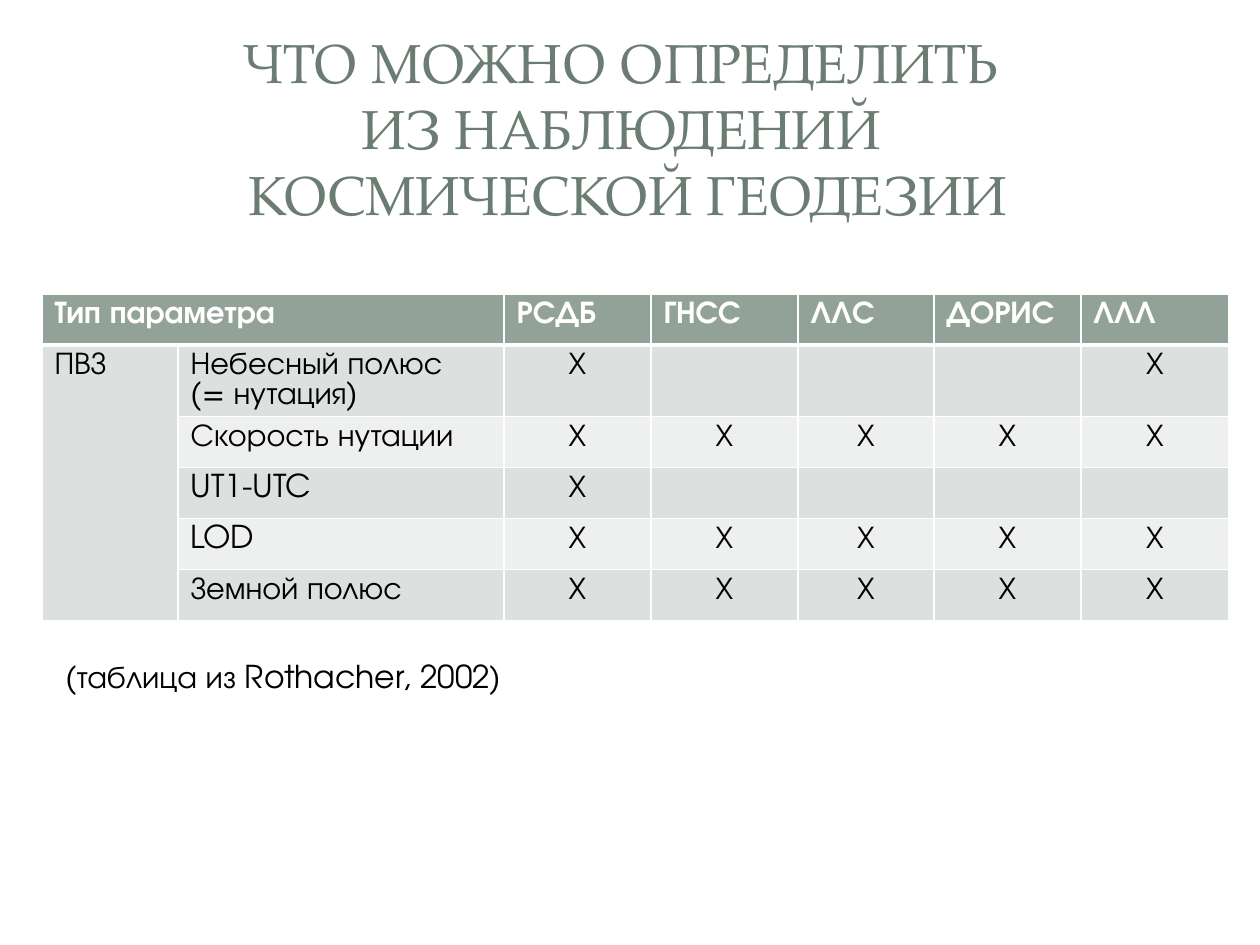
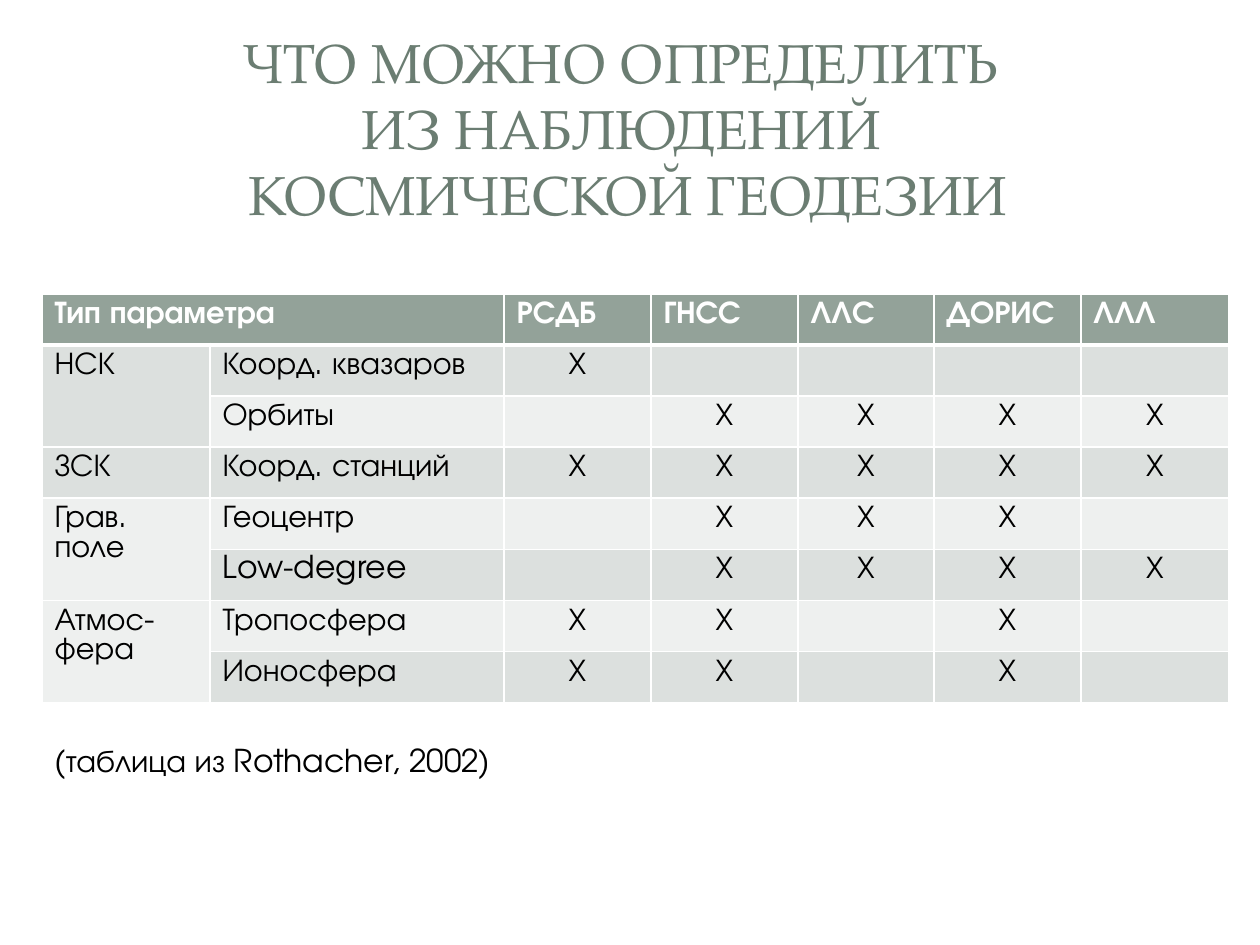
from copy import deepcopy

from lxml.etree import SubElement
from pptx import Presentation
from pptx.dml.color import RGBColor
from pptx.enum.shapes import MSO_SHAPE
from pptx.enum.text import MSO_ANCHOR, MSO_AUTO_SIZE, PP_ALIGN
from pptx.oxml.ns import qn
from pptx.util import Emu, Pt

PIXELS_PER_INCH = 126
TITLE_FONT = "TeX Gyre Pagella"
BODY_FONT = "TeX Gyre Adventor"
WHITE = "FFFFFF"
BLACK = "000000"
TITLE_GREEN = "6B7D72"
HEADER_GREEN = "93A299"
BANDS = ("DCE0DE", "EEF0EF")

TITLE = "ЧТО МОЖНО ОПРЕДЕЛИТЬ \vИЗ НАБЛЮДЕНИЙ \vКОСМИЧЕСКОЙ ГЕОДЕЗИИ"
CAPTION = "(таблица из Rothacher, 2002)"
TECHNIQUES = ("РСДБ", "ГНСС", "ЛЛС", "ДОРИС", "ЛЛЛ")
TECHNIQUE_WIDTHS = (147, 147, 136, 147, 148)
ROW_HEIGHT = 51

EARTH_ROTATION = [
    ("ПВЗ", [
        ("Небесный полюс\n(= нутация)", "Х---Х"),
        ("Скорость нутации", "ХХХХХ"),
        ("UT1-UTC", "Х----"),
        ("LOD", "ХХХХХ"),
        ("Земной полюс", "ХХХХХ"),
    ]),
]
FRAMES_AND_FIELDS = [
    ("НСК", [("Коорд. квазаров", "Х----"), ("Орбиты", "-ХХХХ")]),
    ("ЗСК", [("Коорд. станций", "ХХХХХ")]),
    ("Грав. поле", [("Геоцентр", "-ХХХ-"), ("Low-degree", "-ХХХХ")]),
    ("Атмос-фера", [("Тропосфера", "ХХ-Х-"), ("Ионосфера", "ХХ-Х-")]),
]


def px(length):
    return Emu(round(length * 914400 / PIXELS_PER_INCH))


def rgb(color):
    return RGBColor.from_string(color)


def write_text(text_frame, text, font=BODY_FONT, size=18, color=BLACK, bold=False,
               align=PP_ALIGN.LEFT):
    text_frame.text = text
    for paragraph in text_frame.paragraphs:
        paragraph.alignment = align
        for run in paragraph.runs:
            run.font.name = font
            run.font.size = Pt(size)
            run.font.bold = bold
            run.font.color.rgb = rgb(color)
        for line_break in paragraph._p.findall(qn("a:br")):
            line_break.append(deepcopy(paragraph.runs[0]._r.rPr))


def set_borders(cell, top=1, bottom=1):
    properties = cell._tc.get_or_add_tcPr()
    widths = {"a:lnL": 1, "a:lnR": 1, "a:lnT": top, "a:lnB": bottom}
    for position, (tag, width) in enumerate(widths.items()):
        line = SubElement(properties, qn(tag), w=str(Pt(width)))
        fill = SubElement(line, qn("a:solidFill"))
        SubElement(fill, qn("a:srgbClr"), val=WHITE)
        properties.insert(position, line)


class Deck:
    """Holds the shared style and draws each element on the current slide."""

    def __init__(self):
        self.presentation = Presentation()
        self.presentation.slide_width = px(1260)
        self.presentation.slide_height = px(945)
        self.slide = None

    def add_slide(self, title):
        layout = self.presentation.slide_layouts.get_by_name("Title Only")
        self.slide = self.presentation.slides.add_slide(layout)
        self.add_panel(13, 14, 1234, 918, kind=MSO_SHAPE.ROUNDED_RECTANGLE, corner=0.02)
        self.add_panel(38, 38, 1184, 183, opacity=83)
        self.add_panel(52, 52, 1155, 154)
        self.add_title(title)

    def add_panel(self, left, top, width, height, kind=MSO_SHAPE.RECTANGLE, corner=None,
                  opacity=100):
        shape = self.slide.shapes.add_shape(kind, *map(px, (left, top, width, height)))
        shape.shadow.inherit = False
        shape.line.fill.background()
        shape.fill.solid()
        shape.fill.fore_color.rgb = rgb(WHITE)
        if corner is not None:
            shape.adjustments[0] = corner
        if opacity < 100:
            color = shape._element.spPr.find(qn("a:solidFill"))[0]
            SubElement(color, qn("a:alpha"), val=str(opacity * 1000))

    def add_title(self, text):
        shape = self.slide.shapes.title
        shape._element.getparent().append(shape._element)
        shape.left, shape.top, shape.width, shape.height = map(px, (59, 56, 1138, 143))
        shape.text_frame.auto_size = MSO_AUTO_SIZE.NONE
        shape.text_frame.vertical_anchor = MSO_ANCHOR.MIDDLE
        write_text(shape.text_frame, text, font=TITLE_FONT, size=31.5,
                   color=TITLE_GREEN, align=PP_ALIGN.CENTER)

    def add_cell(self, table, row, column, text, fill, **text_format):
        cell = table.cell(row, column)
        cell.fill.solid()
        cell.fill.fore_color.rgb = rgb(fill)
        set_borders(cell, top=3 if row == 1 else 1, bottom=3 if row == 0 else 1)
        write_text(cell.text_frame, text, **text_format)

    def add_parameter_table(self, groups, label_widths):
        widths = (*label_widths, *TECHNIQUE_WIDTHS)
        row_count = 1 + sum(len(parameters) for _, parameters in groups)
        table = self.slide.shapes.add_table(
            row_count, len(widths), px(42), px(294),
            px(sum(widths)), px(row_count * ROW_HEIGHT)).table
        table.first_row = table.horz_banding = False
        for column, width in zip(table.columns, widths):
            column.width = px(width)
        for table_row in table.rows:
            table_row.height = px(ROW_HEIGHT)

        for column, text in enumerate(("Тип параметра", "", *TECHNIQUES)):
            self.add_cell(table, 0, column, text, HEADER_GREEN, color=WHITE, bold=True)
        table.cell(0, 0).merge(table.cell(0, 1))

        row = 1
        for group, parameters in groups:
            first_row = row
            group_fill = BANDS[(first_row - 1) % 2]
            for parameter, marks in parameters:
                fill = BANDS[(row - 1) % 2]
                self.add_cell(table, row, 0, group if row == first_row else "", group_fill)
                self.add_cell(table, row, 1, parameter, fill)
                for column, mark in enumerate(marks, start=2):
                    self.add_cell(table, row, column, mark.strip("-"), fill,
                                  align=PP_ALIGN.CENTER)
                row += 1
            if len(parameters) > 1:
                table.cell(first_row, 0).merge(table.cell(row - 1, 0))

    def add_caption(self, text, left, top):
        text_frame = self.slide.shapes.add_textbox(px(left), px(top), px(485), px(50)).text_frame
        text_frame.word_wrap = False
        text_frame.auto_size = MSO_AUTO_SIZE.SHAPE_TO_FIT_TEXT
        write_text(text_frame, text)


def main():
    deck = Deck()
    for groups, label_widths, caption_left, caption_top in (
        (EARTH_ROTATION, (136, 326), 53, 651),
        (FRAMES_AND_FIELDS, (168, 294), 42, 735),
    ):
        deck.add_slide(TITLE)
        deck.add_parameter_table(groups, label_widths)
        deck.add_caption(CAPTION, caption_left, caption_top)
    deck.presentation.save("out.pptx")


if __name__ == "__main__":
    main()
